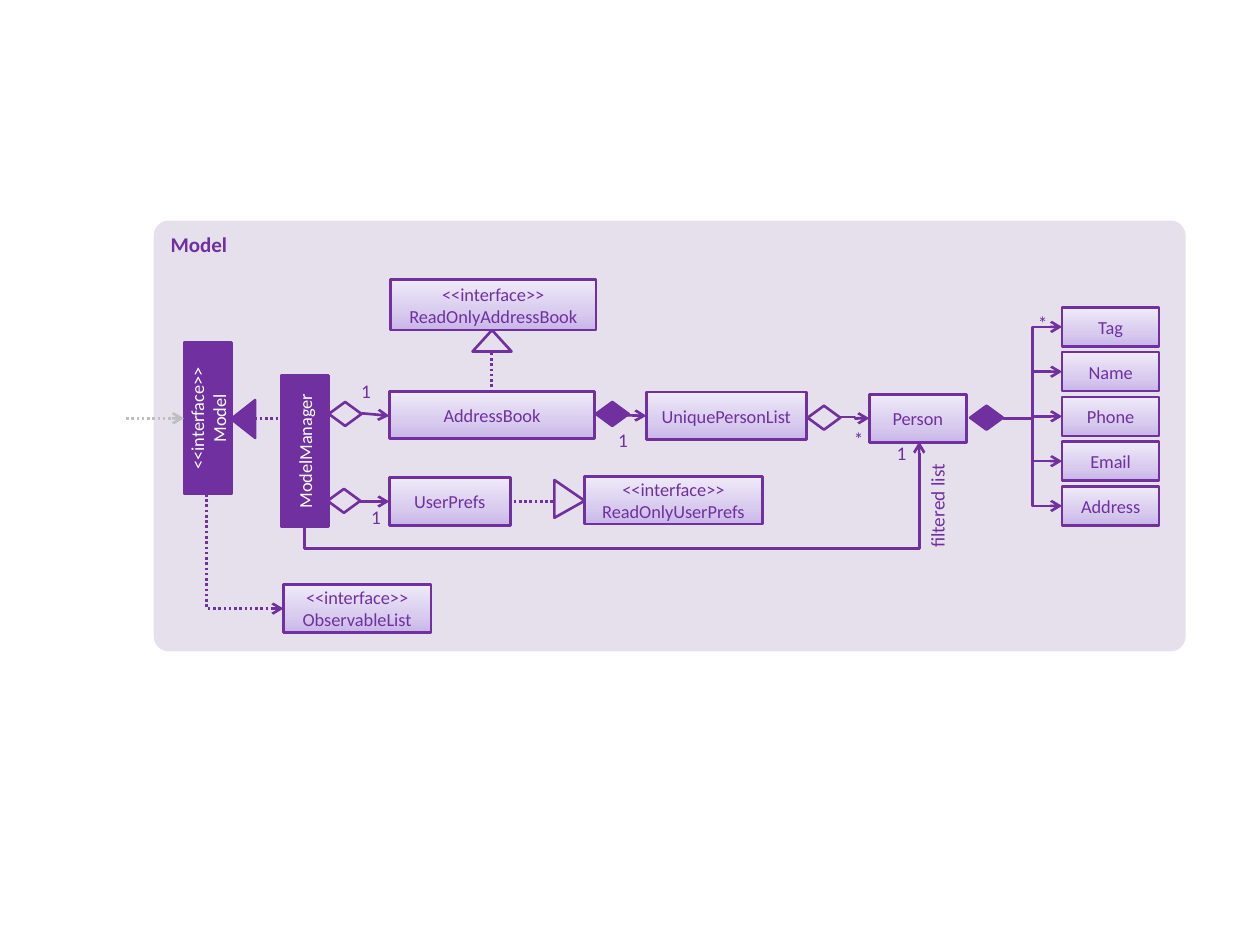
from dataclasses import dataclass

from lxml import etree
from pptx import Presentation
from pptx.dml.color import RGBColor
from pptx.enum.dml import MSO_LINE
from pptx.enum.shapes import MSO_CONNECTOR, MSO_SHAPE
from pptx.enum.text import MSO_ANCHOR, PP_ALIGN
from pptx.oxml import parse_xml
from pptx.oxml.ns import nsdecls, qn
from pptx.util import Inches, Pt

RECTANGLE, ROUNDED = MSO_SHAPE.RECTANGLE, MSO_SHAPE.ROUNDED_RECTANGLE
TRIANGLE, DIAMOND = MSO_SHAPE.ISOSCELES_TRIANGLE, MSO_SHAPE.FLOWCHART_DECISION
STRAIGHT, ELBOW = MSO_CONNECTOR.STRAIGHT, MSO_CONNECTOR.ELBOW
DOTTED = MSO_LINE.ROUND_DOT
TOP, MIDDLE = MSO_ANCHOR.TOP, MSO_ANCHOR.MIDDLE
LEFT, CENTER, RIGHT = PP_ALIGN.LEFT, PP_ALIGN.CENTER, PP_ALIGN.RIGHT
PURPLE, PALE, GREY, WHITE = "7030A0", "E6E0EC", "BFBFBF", "FFFFFF"
GRADIENT = ((0, "C9B5E8"), (35, "D8CBEE"), (100, "F0EAF9"))
COLUMNS, ROWS = 100, 75
CELL = Inches(0.1)
FIELDS = ("Tag", "Name", "Phone", "Email", "Address")


def color(code):
    """Turn a hex string into a colour."""
    return RGBColor.from_string(code)


def turned_frame(left, top, width, height, rotation):
    """Return the unrotated frame whose rotation covers the given box."""
    if rotation % 180 == 0:
        return left, top, width, height
    shift = (width - height) / 2
    return left + shift, top - shift, height, width


def write(shape, text, code, size=10.5, align=CENTER, anchor=MIDDLE, bold=False):
    """Write text in one format into a shape."""
    frame = shape.text_frame
    frame.word_wrap = True
    frame.vertical_anchor = anchor
    frame.text = text
    for paragraph in frame.paragraphs:
        paragraph.alignment = align
        font = paragraph.font
        font.name, font.size, font.bold = "Calibri", Pt(size), bold
        font.color.rgb = color(code)


def shade(shape):
    """Fill a shape with the lilac gradient, darkest at the bottom."""
    shape.fill.solid()
    stops = "".join(
        f'<a:gs pos="{share * 1000}"><a:srgbClr val="{code}"/></a:gs>'
        for share, code in GRADIENT
    )
    properties = shape._element.spPr
    properties.replace(
        properties.find(qn("a:solidFill")),
        parse_xml(
            f'<a:gradFill {nsdecls("a")} rotWithShape="1"><a:gsLst>{stops}</a:gsLst>'
            '<a:lin ang="16200000" scaled="0"/></a:gradFill>'
        ),
    )


@dataclass
class Region:
    """A part of the slide that places things in cells from its own corner."""

    slide: object
    left: float
    top: float

    def point(self, column, row):
        """Return slide lengths for a place in the region."""
        return round((self.left + column) * CELL), round((self.top + row) * CELL)

    def frame(self, box, rotation=0):
        """Return left, top, width and height on the slide."""
        column, row, width, height = turned_frame(*box, rotation)
        return *self.point(column, row), round(width * CELL), round(height * CELL)

    def shape(self, kind, box, fill=None, outline=PURPLE, rotation=0):
        """Add a preset shape with a flat fill or none."""
        shape = self.slide.shapes.add_shape(kind, *self.frame(box, rotation))
        shape.shadow.inherit = False
        shape.rotation = rotation
        if fill:
            shape.fill.solid()
            shape.fill.fore_color.rgb = color(fill)
        else:
            shape.fill.background()
        if outline:
            shape.line.color.rgb = color(outline)
            shape.line.width = Pt(1.5)
        else:
            shape.line.fill.background()
        return shape

    def class_box(self, text, box):
        """Add a shaded class box."""
        shape = self.shape(RECTANGLE, box)
        shade(shape)
        write(shape, text, PURPLE)

    def upright_box(self, text, box):
        """Add a dark box whose text reads upwards."""
        write(self.shape(RECTANGLE, box, PURPLE, rotation=270), text, WHITE)

    def diamond(self, column, row, fill=None):
        """Add an aggregation or composition diamond."""
        self.shape(DIAMOND, (column, row, 2.6, 1.9), fill)

    def label(self, text, column, row):
        """Add a multiplicity label."""
        box = self.slide.shapes.add_textbox(*self.frame((column, row, 2.1, 2)))
        write(box, text, PURPLE, 11, anchor=TOP)
        frame = box.text_frame
        frame.margin_left = frame.margin_right = 0
        frame.margin_top = frame.margin_bottom = 0

    def line(self, start, end, kind=STRAIGHT, code=PURPLE, dotted=False, arrow=True):
        """Add a connector between two places."""
        connector = self.slide.shapes.add_connector(
            kind, *self.point(*start), *self.point(*end)
        )
        connector.line.color.rgb = color(code)
        connector.line.width = Pt(1.5)
        if dotted:
            connector.line.dash_style = DOTTED
        properties = connector._element.spPr
        if arrow:
            outline = properties.find(qn("a:ln"))
            etree.SubElement(outline, qn("a:tailEnd"), type="arrow")
        etree.SubElement(properties, qn("a:effectLst"))
        return connector

    def turned_elbow(self, box, rotation, preset, flips, bend=None, dotted=False):
        """Add an elbow arrow that leaves vertically and spans the box."""
        left, top, width, height = turned_frame(*box, rotation)
        connector = self.line((left, top), (left + width, top + height), ELBOW, dotted=dotted)
        transform = connector._element.spPr.find(qn("a:xfrm"))
        transform.set("rot", str(rotation * 60000))
        for flip in flips:
            transform.set(flip, "1")
        geometry = connector._element.spPr.find(qn("a:prstGeom"))
        geometry.set("prst", preset)
        if bend is not None:
            guides = geometry.find(qn("a:avLst"))
            etree.SubElement(guides, qn("a:gd"), name="adj1", fmla=f"val {bend}")


def add_panel(region):
    """Add the titled background panel."""
    panel = region.shape(ROUNDED, (0, 0, 81.9, 34.2), PALE, None)
    panel.adjustments[0] = 0.035
    write(panel, "Model", PURPLE, 12, LEFT, TOP, True)


def add_manager(region):
    """Add the Model interface, its manager and the observable list."""
    region.upright_box("<<interface>>\nModel", (4.6, 0.2, 3.8, 12))
    region.upright_box("ModelManager", (12.3, 2.8, 3.8, 12))
    region.shape(TRIANGLE, (8.35, 4.75, 1.9, 3), PURPLE, rotation=270)
    region.line((0, 6.2), (4.6, 6.2), code=GREY, dotted=True)
    region.line((10.2, 6.2), (12.6, 6.2), dotted=True, arrow=False)
    region.class_box("<<interface>>\vObservableList", (12.5, 19.4, 11.7, 3.8))
    region.turned_elbow((6.4, 12.2, 6.1, 9.1), 270, "bentConnector2", ["flipH"], dotted=True)


def add_address_book(region):
    """Add the address book below its read-only interface."""
    region.line((13, 6), (13, 9), dotted=True, arrow=False)
    region.shape(TRIANGLE, (11.5, 4.2, 3.1, 1.7), PALE)
    region.class_box("<<interface>>\vReadOnlyAddressBook", (5, 0.2, 16.3, 4))
    region.class_box("AddressBook", (4.9, 9.1, 16.3, 3.7))
    region.line((2.7, 10.8), (4.9, 11))
    region.diamond(0.1, 9.9)
    region.label("1", 2, 8.1)


def add_preferences(region):
    """Add the user preferences beside their read-only interface."""
    region.class_box("UserPrefs", (4.9, 0.9, 9.6, 3.8))
    region.line((2.5, 2.8), (4.9, 2.8))
    region.diamond(0, 1.8)
    region.label("1", 2.8, 3.1)
    region.class_box("<<interface>>\nReadOnlyUserPrefs", (20.4, 0.8, 14.1, 3.8))
    region.line((17.9, 2.8), (14.5, 2.8), dotted=True, arrow=False)
    arrowhead = region.shape(TRIANGLE, (18, 1.1, 2.4, 3), PALE, rotation=90)
    arrowhead.adjustments[0] = 0.55


def add_persons(region):
    """Add the person list and the person class."""
    region.class_box("UniquePersonList", (4.3, 0.1, 12.7, 3.8))
    region.class_box("Person", (22, 0.3, 7.7, 3.8))
    region.line((0.3, 1.9), (4.3, 2))
    region.diamond(0.3, 0.9, PURPLE)
    region.diamond(17.1, 1.2)
    region.line((19.7, 2.1), (22, 2.2), ELBOW)
    region.label("1", 1.4, 3)
    region.label("*", 20.1, 2.9)


def add_filtered_list(region):
    """Add the path from the manager to the person class."""
    region.turned_elbow(
        (0.15, 0.05, 48.8, 6.7), 90, "bentConnector3", ["flipH", "flipV"], -26700
    )
    region.label("1", 46.5, 0)
    frame = region.frame((48.95, 0.85, 2.9, 9.6), 270)
    caption = region.slide.shapes.add_textbox(*frame)
    caption.rotation = 270
    write(caption, "filtered list", PURPLE, 11, RIGHT, TOP)


def add_fields(region):
    """Add the evenly spaced fields of a person."""
    region.diamond(0, 8.2, PURPLE)
    for index, name in enumerate(FIELDS):
        top = 0.4 + 3.55 * index
        region.class_box(name, (7.3, top, 7.7, 3.1))
        region.line((2.6, 9.2), (7.3, top + 1.55), ELBOW)
    region.label("*", 4.7, 0.7)


def main():
    """Build and save the class diagram."""
    presentation = Presentation()
    presentation.slide_width, presentation.slide_height = COLUMNS * CELL, ROWS * CELL
    slide = presentation.slides.add_slide(presentation.slide_layouts[6])
    add_panel(Region(slide, 12.2, 17.5))
    add_manager(Region(slide, 10, 27))
    add_address_book(Region(slide, 26, 22))
    add_preferences(Region(slide, 26, 37))
    add_persons(Region(slide, 47, 31))
    add_filtered_list(Region(slide, 24, 35))
    add_fields(Region(slide, 77, 24))
    presentation.save("out.pptx")


if __name__ == "__main__":
    main()
